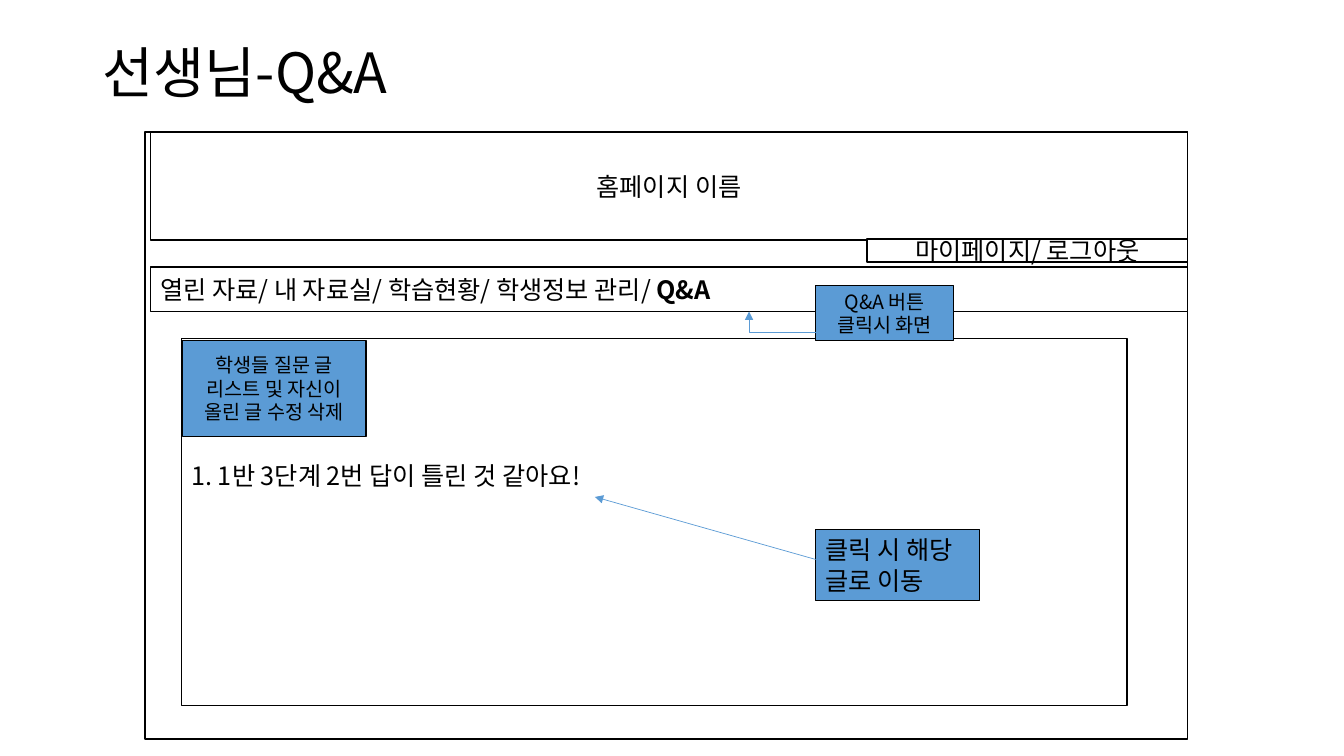
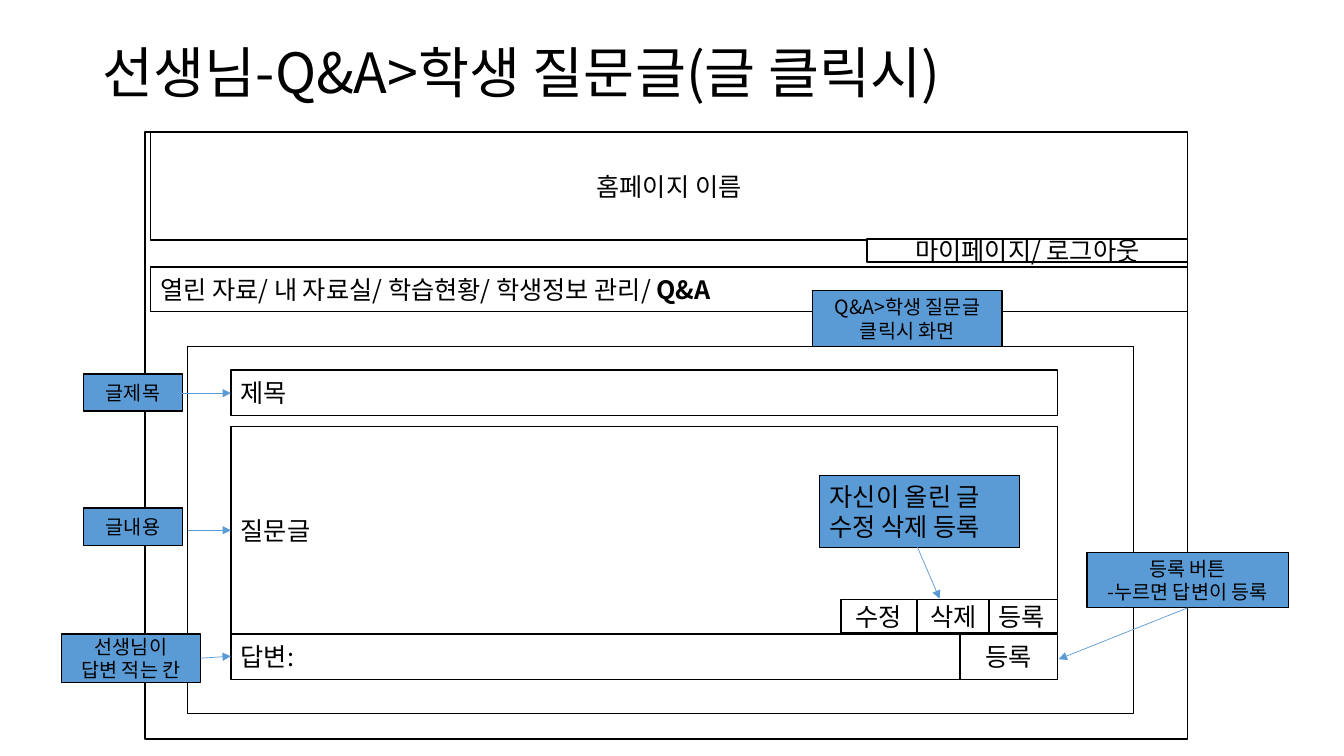
import pptx
import pptx.util
import pptx.oxml
import pptx.oxml.ns
import pptx.dml.color
import pptx.enum.shapes
import pptx.enum.text
import lxml.etree

Inches, Pt = pptx.util.Inches, pptx.util.Pt
RGB = pptx.dml.color.RGBColor.from_string
ALIGN = pptx.enum.text.PP_ALIGN
MIDDLE = pptx.enum.text.MSO_ANCHOR.MIDDLE
CONNECTOR = pptx.enum.shapes.MSO_CONNECTOR
qn = pptx.oxml.ns.qn

COLORS = {"paper": "FFFFFF", "ink": "000000", "note": "5B9BD5"}
FONT = "Noto Sans CJK KR"
# Box styles: fill, text size, alignment, outline width
STYLES = {
    "field": ("paper", 18, ALIGN.LEFT, 1),
    "button": ("paper", 18, ALIGN.CENTER, 1),
    "note": ("note", 14, ALIGN.CENTER, 1),
    "big note": ("note", 18, ALIGN.LEFT, 0.75),
    "plain": (None, 18, ALIGN.LEFT, None),
}

deck = pptx.Presentation()
deck.slide_width, deck.slide_height = Inches(13.33), Inches(7.5)

# Title place, shared through the layout
layout = deck.slide_layouts[5]
layout_title = layout.placeholders[0]
layout_title.left, layout_title.top = Inches(0.92), Inches(0.4)
layout_title.width, layout_title.height = Inches(11.15), Inches(0.7)


def write(frame, lines, size, align):
    """One paragraph per line; text after a bar is bold."""
    frame.word_wrap = True
    frame.vertical_anchor = MIDDLE
    for number, line in enumerate(lines):
        paragraph = frame.add_paragraph() if number else frame.paragraphs[0]
        paragraph.alignment = align
        for part, text in enumerate(line.split("|")):
            run = paragraph.add_run()
            run.text = text
            run.font.size = Pt(size)
            run.font.bold = part == 1
            run.font.color.rgb = RGB(COLORS["ink"])
            run.font.name = FONT
            lxml.etree.SubElement(run.font._element, qn("a:ea"), typeface=FONT)


def add_box(slide, style, left, top, width, height, *lines):
    fill, size, align, outline = STYLES[style]
    place = [Inches(length) for length in (left, top, width, height)]
    if fill is None:
        box = slide.shapes.add_textbox(*place)
    else:
        box = slide.shapes.add_shape(pptx.enum.shapes.MSO_SHAPE.RECTANGLE, *place)
        box.shadow.inherit = False
        box.fill.solid()
        box.fill.fore_color.rgb = RGB(COLORS[fill])
        box.line.color.rgb = RGB(COLORS["ink"])
        box.line.width = Pt(outline)
    write(box.text_frame, lines, size, align)


# Edges of the web page and of the question form
page_left, page_top, page_width = 1.44, 1.31, 10.34
page_right = page_left + page_width
header_left = page_left + 0.05
header_width = page_right - header_left
account_width = 3.18
panel_width, panel_height = 9.38, 3.64
form_left, form_width, field_height = 2.29, 8.2, 0.45
answer_top, answer_width = 6.29, 7.23
button_top, button_height = 5.95, 0.33
label_left, label_width, label_height = 0.83, 0.98, 0.37
note_left = 8.09

page_boxes = [
    ("field", page_left, page_top, page_width, 6.02),
    ("button", header_left, page_top, header_width, 1.07, "홈페이지 이름"),
    ("button", page_right - account_width, 2.37, account_width, 0.23,
     "마이페이지/ 로그아웃"),
    ("field", header_left, 2.65, header_width, 0.44,
     "열린 자료/ 내 자료실/ 학습현황/ 학생정보 관리/ |Q&A "),
]

question_list = [
    ("field", 1.8, 3.36, panel_width, panel_height),
    ("note", note_left, 2.83, 1.37, 0.55, "Q&A 버튼", "클릭시 화면"),
    ("note", 1.81, 3.38, 1.82, 0.95,
     "학생들 질문 글", "리스트 및 자신이 올린 글 수정 삭제"),
    ("plain", 1.8, 4.52, 7.5, 0.4, "1. 1반 3단계 2번 답이 틀린 것 같아요!"),
    ("big note", note_left, 5.25, 1.63, 0.71, "클릭 시 해당 글로 이동"),
]
list_arrows = [
    (CONNECTOR.ELBOW, note_left, 3.3, 7.43, 3.09),
    (CONNECTOR.STRAIGHT, note_left, 5.55, 5.9, 4.93),
]

question_form = [
    ("field", 1.86, 3.44, panel_width, panel_height),
    ("field", form_left, 3.67, form_width, field_height, "제목"),
    ("field", form_left, 4.23, form_width, answer_top - 4.23, "질문글"),
    ("field", form_left, answer_top, answer_width, field_height, "답변:"),
    ("button", form_left + answer_width, answer_top,
     form_width - answer_width, field_height, "등록"),
    ("note", 8.06, 2.88, 1.88, 0.56, "Q&A>학생 질문글", "클릭시 화면"),
    ("note", label_left, 3.71, label_width, label_height, "글제목"),
    ("note", label_left, 5.04, label_width, label_height, "글내용"),
    ("note", 10.78, 5.48, 2, 0.55, "등록 버튼", "-누르면 답변이 등록"),
    ("note", 0.61, 6.29, 1.38, 0.48, "선생님이", "답변 적는 칸"),
    ("button", 9.78, button_top, 0.71, button_height, "등록"),
    ("button", 8.34, button_top, 0.75, button_height, "수정"),
    ("button", 9.1, button_top, 0.71, button_height, "삭제"),
    ("big note", 8.13, 4.72, 1.98, 0.71, "자신이 올린 글 수정 삭제 등록"),
]
form_arrows = [(CONNECTOR.STRAIGHT, *ends) for ends in (
    (label_left + label_width, 3.9, form_left, 3.9),
    (1.86, 5.26, form_left, 5.26),
    (1.99, 6.53, form_left, 6.51),
    (11.78, 6.03, 10.5, 6.54),
    (9.1, 5.43, 9.32, 5.94),
)]

for heading, boxes, arrows in (
    ("선생님-Q&A", question_list, list_arrows),
    ("선생님-Q&A>학생 질문글(글 클릭시)", question_form, form_arrows),
):
    slide = deck.slides.add_slide(layout)

    # Heading
    title = slide.shapes.title.text_frame
    title.auto_size = pptx.enum.text.MSO_AUTO_SIZE.NONE
    write(title, [heading], 39.6, ALIGN.LEFT)
    title.paragraphs[0].line_spacing = 0.9

    # Page frame and its content
    for box in page_boxes + boxes:
        add_box(slide, *box)

    # Arrows from notes to the parts they explain
    for route, *ends in arrows:
        arrow = slide.shapes.add_connector(route, *[Inches(end) for end in ends])
        arrow.line.color.rgb = RGB(COLORS["note"])
        arrow.line.width = Pt(0.5)
        properties = arrow._element.spPr
        lxml.etree.SubElement(properties.find(qn("a:ln")), qn("a:tailEnd"), type="triangle")
        lxml.etree.SubElement(properties, qn("a:effectLst"))
        if route == CONNECTOR.ELBOW:
            # Turn only at the far end
            guides = properties.find(qn("a:prstGeom")).find(qn("a:avLst"))
            lxml.etree.SubElement(guides, qn("a:gd"), name="adj1", fmla="val 100000")

deck.save("out.pptx")
